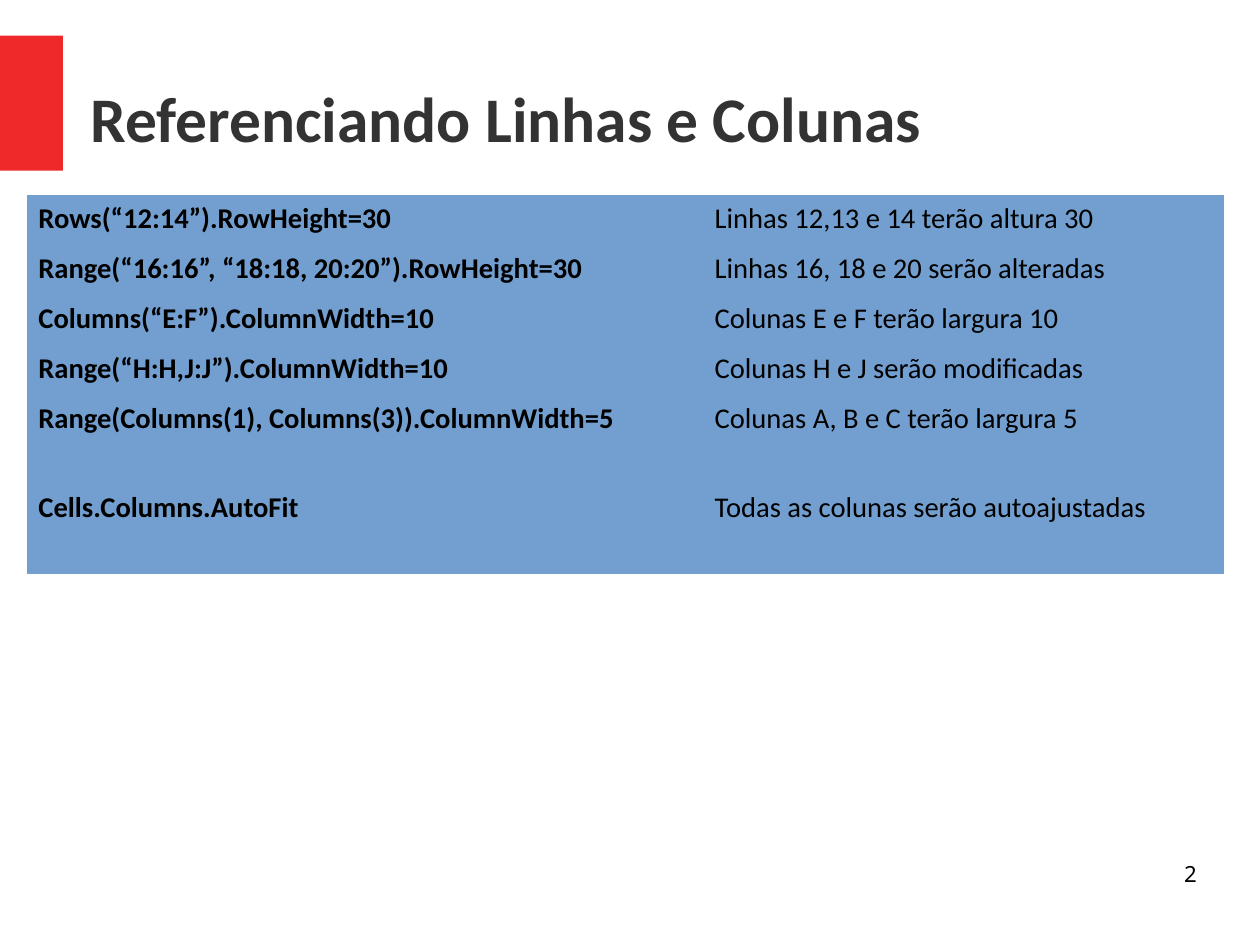
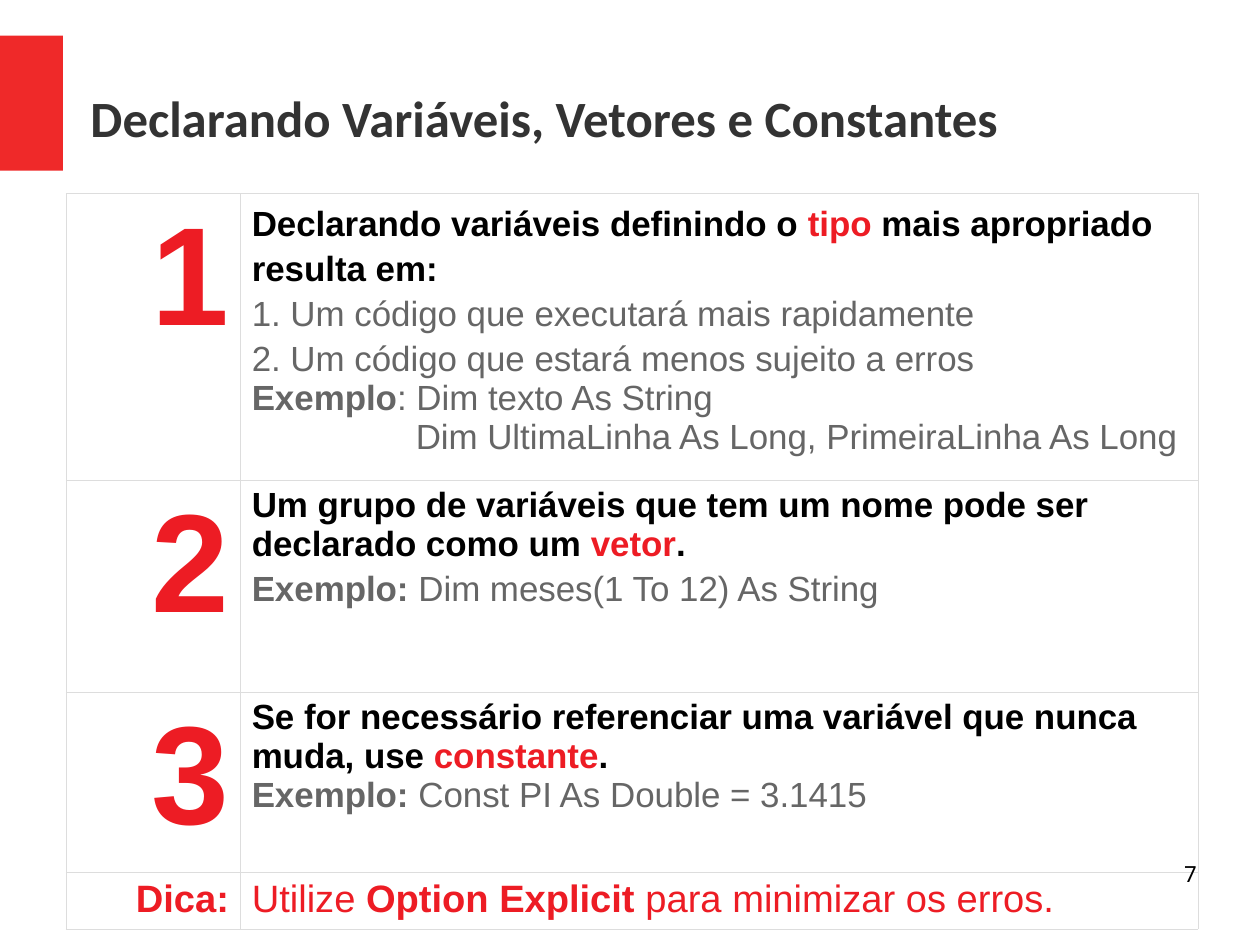
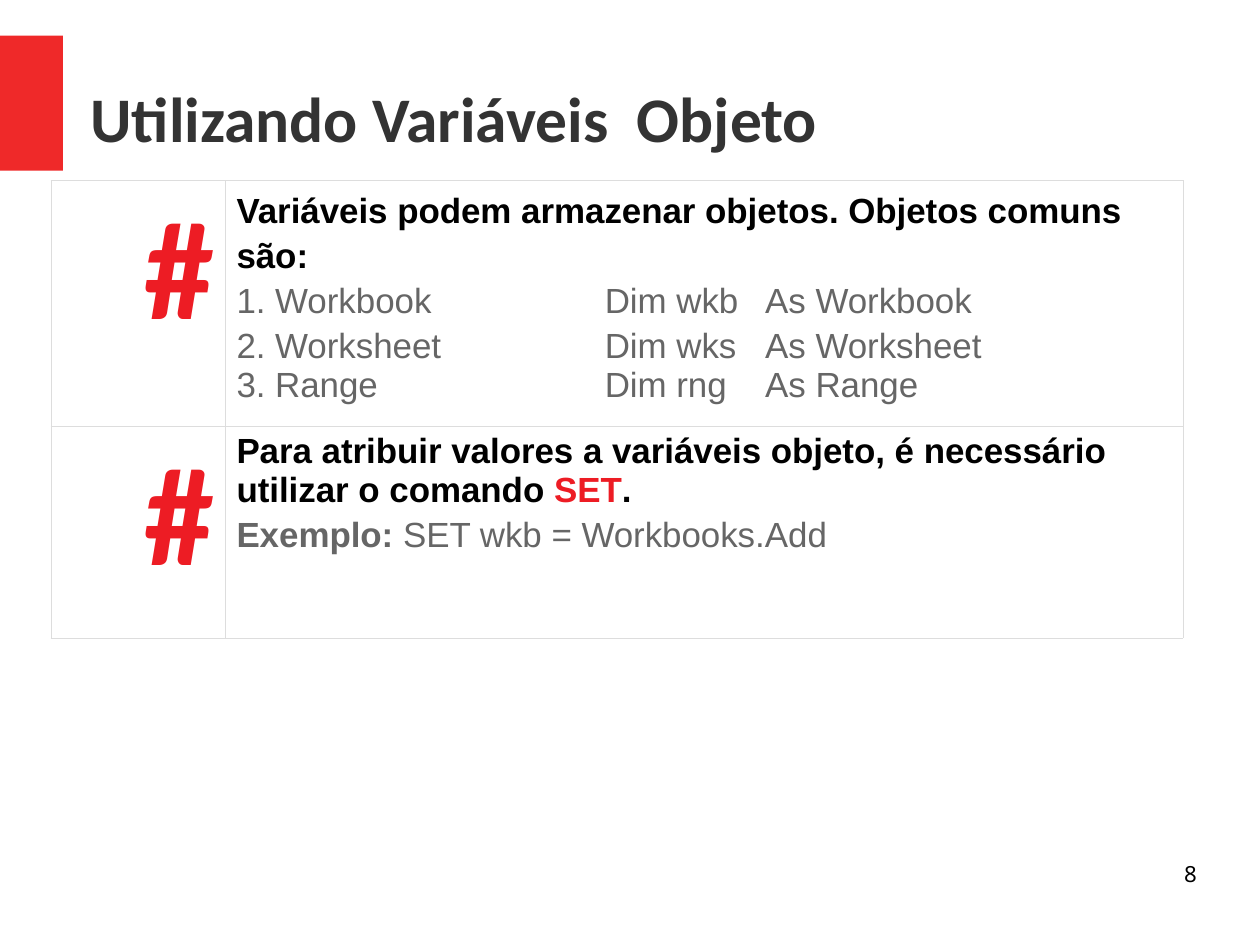
"""Build three slides on rows, columns and variables in macro code."""
from dataclasses import dataclass, field
from typing import NamedTuple

from lxml.etree import SubElement
from pptx import Presentation
from pptx.dml.color import RGBColor
from pptx.enum.shapes import MSO_SHAPE as Preset
from pptx.enum.text import MSO_ANCHOR as Anchor, MSO_AUTO_SIZE as AutoSize, PP_ALIGN as Align
from pptx.oxml.ns import qn
from pptx.util import Pt

BAND_RED = "EF2929"
RED = "ED1C24"
TITLE_GRAY = "333333"
GRAY = "666666"
BLACK = "000000"
WHITE = "FFFFFF"
BLUE = "729FCF"
BORDER_GRAY = "DDDDDD"
BORDER_WIDTH = Pt(0.06)
NO_TABLE_STYLE = "{2D5ABB26-0587-4C30-8999-92F81FD0307C}"
DECLARATION_TABS = (232, 333)
EXAMPLE_TABS = (103.3,)


class Segment(NamedTuple):
    """A piece of text with one format."""
    text: str
    color: str = BLACK
    bold: bool = False


@dataclass
class Line:
    """A paragraph of a table cell."""
    segments: list[Segment]
    size: float = 22
    font: str = "Arial"
    spacing: float = 1.0
    align: Align = Align.LEFT
    tabs: tuple[float, ...] = ()


Cell = list[Line]


@dataclass
class TableSpec:
    """A table's place, grid, content and look."""
    left: float
    top: float
    widths: list[float]
    heights: list[float]
    rows: list[list[Cell]]
    fill: str = WHITE
    bordered: bool = True


@dataclass
class SlideSpec:
    """A slide's title, number and table."""
    title: str
    number: str
    table: TableSpec
    title_size: float = field(default=40)


def rgb(value: str) -> RGBColor:
    """Turn a hex string into a colour."""
    return RGBColor.from_string(value)


def write(paragraph, text: str, *, size: float, font: str, color: str = BLACK,
          bold: bool = False, align: Align = Align.LEFT) -> None:
    """Add formatted text to a paragraph."""
    paragraph.alignment = align
    run = paragraph.add_run()
    run.text = text
    run.font.size = Pt(size)
    run.font.name = font
    run.font.bold = bold
    run.font.color.rgb = rgb(color)


def clear_margins(text_frame) -> None:
    """Remove the insets of a text frame and let it wrap."""
    text_frame.margin_left = text_frame.margin_right = 0
    text_frame.margin_top = text_frame.margin_bottom = 0
    text_frame.word_wrap = True


def set_tabs(paragraph, positions: tuple[float, ...]) -> None:
    """Give a paragraph left tab stops."""
    tab_list = SubElement(paragraph._p.get_or_add_pPr(), qn("a:tabLst"))
    for position in positions:
        SubElement(tab_list, qn("a:tab"), pos=str(Pt(position)), algn="l")


def set_borders(cell) -> None:
    """Draw a thin line on each side of a cell."""
    properties = cell._tc.get_or_add_tcPr()
    for side in ("lnL", "lnR", "lnT", "lnB"):
        line = SubElement(properties, qn(f"a:{side}"), w=str(BORDER_WIDTH))
        SubElement(SubElement(line, qn("a:solidFill")), qn("a:srgbClr"), val=BORDER_GRAY)


def fill_cell(cell, lines: Cell) -> None:
    """Write lines into a cell."""
    text_frame = cell.text_frame
    for index, line in enumerate(lines):
        paragraph = text_frame.add_paragraph() if index else text_frame.paragraphs[0]
        if line.tabs:
            set_tabs(paragraph, line.tabs)
        paragraph.line_spacing = line.spacing
        for segment in line.segments:
            write(paragraph, segment.text, size=line.size, font=line.font,
                  color=segment.color, bold=segment.bold, align=line.align)


def add_table(slide, spec: TableSpec) -> None:
    """Place a table on a slide."""
    frame = slide.shapes.add_table(
        len(spec.heights), len(spec.widths), Pt(spec.left), Pt(spec.top),
        Pt(sum(spec.widths)), Pt(sum(spec.heights)))
    table = frame.table
    table.first_row = table.horz_banding = False
    table._tbl.tblPr.find(qn("a:tableStyleId")).text = NO_TABLE_STYLE
    for column, width in zip(table.columns, spec.widths):
        column.width = Pt(width)
    for row, height, contents in zip(table.rows, spec.heights, spec.rows):
        row.height = Pt(height)
        for cell, lines in zip(row.cells, contents):
            if spec.bordered:
                set_borders(cell)
            cell.fill.solid()
            cell.fill.fore_color.rgb = rgb(spec.fill)
            fill_cell(cell, lines)


def add_layout_band(slide) -> None:
    """Put the red band on the layout of a slide."""
    band = slide.shapes.add_shape(Preset.RECTANGLE, 0, Pt(22.5), Pt(39.7), Pt(85))
    band.shadow.inherit = False
    band.fill.solid()
    band.fill.fore_color.rgb = rgb(BAND_RED)
    band.line.fill.background()
    slide.slide_layout.shapes._spTree.insert(2, band._element)


def add_title(slide, text: str, size: float) -> None:
    """Fill and place the title placeholder."""
    title = slide.shapes.title
    title.left, title.top, title.width, title.height = Pt(57), Pt(24), Pt(697), Pt(99.2)
    text_frame = title.text_frame
    clear_margins(text_frame)
    text_frame.auto_size = AutoSize.NONE
    text_frame.vertical_anchor = Anchor.MIDDLE
    write(text_frame.paragraphs[0], text, size=size, font="Calibri",
          color=TITLE_GRAY, bold=True)


def add_number(slide, number: str) -> None:
    """Write the page number at the lower right."""
    box = slide.shapes.add_textbox(Pt(569), Pt(542.2), Pt(185), Pt(41))
    clear_margins(box.text_frame)
    write(box.text_frame.paragraphs[0], number, size=14, font="Noto Sans", align=Align.RIGHT)


def marker(text: str, size: float = 88, font: str = "Arial") -> Cell:
    """Make the red label of a row."""
    return [Line([Segment(text, RED, True)], size, font, align=Align.RIGHT)]


def heading(before: str, keyword: str = "", after: str = "", spacing: float = 1.0) -> Line:
    """Make a bold line with a red keyword."""
    parts = [Segment(before, BLACK, True), Segment(keyword, RED, True), Segment(after, BLACK, True)]
    return Line([part for part in parts if part.text], spacing=spacing)


def detail(text: str, spacing: float = 1.0, tabs: tuple[float, ...] = ()) -> Line:
    """Make a gray line."""
    return Line([Segment(text, GRAY)], spacing=spacing, tabs=tabs)


def example(label: str, code: str, spacing: float = 1.0) -> Line:
    """Make a gray line with a bold label."""
    return Line([Segment(label, GRAY, True), Segment(code, GRAY)], spacing=spacing)


def command_row(code: str, effect: str) -> list[Cell]:
    """Make a row with a command and its effect."""
    return [[Line([Segment(code, bold=True)], 18, "Calibri")],
            [Line([Segment(effect)], 18, "Calibri")]]


COMMANDS = [
    ("Rows(“12:14”).RowHeight=30", "Linhas 12,13 e 14 terão altura 30"),
    ("Range(“16:16”, “18:18, 20:20”).RowHeight=30", "Linhas 16, 18 e 20 serão alteradas"),
    ("Columns(“E:F”).ColumnWidth=10", "Colunas E e F terão largura 10"),
    ("Range(“H:H,J:J”).ColumnWidth=10", "Colunas H e J serão modificadas"),
    ("Range(Columns(1), Columns(3)).ColumnWidth=5", "Colunas A, B e C terão largura 5"),
    ("Cells.Columns.AutoFit", "Todas as colunas serão autoajustadas"),
]

DECLARATIONS = [
    [marker("1"), [
        heading("Declarando variáveis definindo o ", "tipo", " mais apropriado resulta em:", 1.15),
        detail("1. Um código que executará mais rapidamente", 1.15),
        detail("2. Um código que estará menos sujeito a erros", 1.15),
        example("Exemplo", ": Dim texto As String"),
        detail("\tDim UltimaLinha As Long, PrimeiraLinha As Long", tabs=EXAMPLE_TABS)]],
    [marker("2"), [
        heading("Um grupo de variáveis que tem um nome pode ser declarado como um ", "vetor", "."),
        example("Exemplo:", " Dim meses(1 To 12) As String", 1.15)]],
    [marker("3"), [
        heading("Se for necessário referenciar uma variável que nunca muda, use ", "constante", "."),
        example("Exemplo:", " Const PI As Double = 3.1415")]],
    [marker("Dica:", 24), [
        Line([Segment("Utilize ", RED), Segment("Option Explicit", RED, True),
              Segment(" para minimizar os erros.", RED)], 24)]],
]

OBJECT_VARIABLES = [
    [marker("#", font="Calibri"), [
        heading("Variáveis podem armazenar objetos. Objetos comuns são:", spacing=1.15),
        detail("1. Workbook\tDim wkb\tAs Workbook", 1.15, DECLARATION_TABS),
        detail("2. Worksheet\tDim wks\tAs Worksheet", 1.15, DECLARATION_TABS),
        detail("3. Range\tDim rng\tAs Range", tabs=DECLARATION_TABS)]],
    [marker("#", font="Calibri"), [
        heading("Para atribuir valores a variáveis objeto, é necessário utilizar o comando ",
                "SET", "."),
        example("Exemplo:", " SET wkb = Workbooks.Add", 1.15)]],
]

TOPIC_WIDTHS = [109.8, 603.4]
SLIDES = [
    SlideSpec("Referenciando Linhas e Colunas", "2", TableSpec(
        17, 122.9, [426, 328], [31.6] * 4 + [56.2] * 2,
        [command_row(*command) for command in COMMANDS], BLUE, False)),
    SlideSpec("Declarando Variáveis, Vetores e Constantes", "7", TableSpec(
        41.6, 121.8, TOPIC_WIDTHS, [180.8, 133.5, 113.4, 36], DECLARATIONS), 32),
    SlideSpec("Utilizando Variáveis  Objeto", "8", TableSpec(
        32, 113.6, TOPIC_WIDTHS, [155, 133.5], OBJECT_VARIABLES)),
]


def main() -> None:
    """Build and save the presentation."""
    presentation = Presentation()
    presentation.slide_width, presentation.slide_height = Pt(793.7), Pt(595.3)
    layout = presentation.slide_layouts[5]
    for index, spec in enumerate(SLIDES):
        slide = presentation.slides.add_slide(layout)
        if index == 0:
            add_layout_band(slide)
        add_title(slide, spec.title, spec.title_size)
        add_table(slide, spec.table)
        add_number(slide, spec.number)
    presentation.save("out.pptx")


if __name__ == "__main__":
    main()
